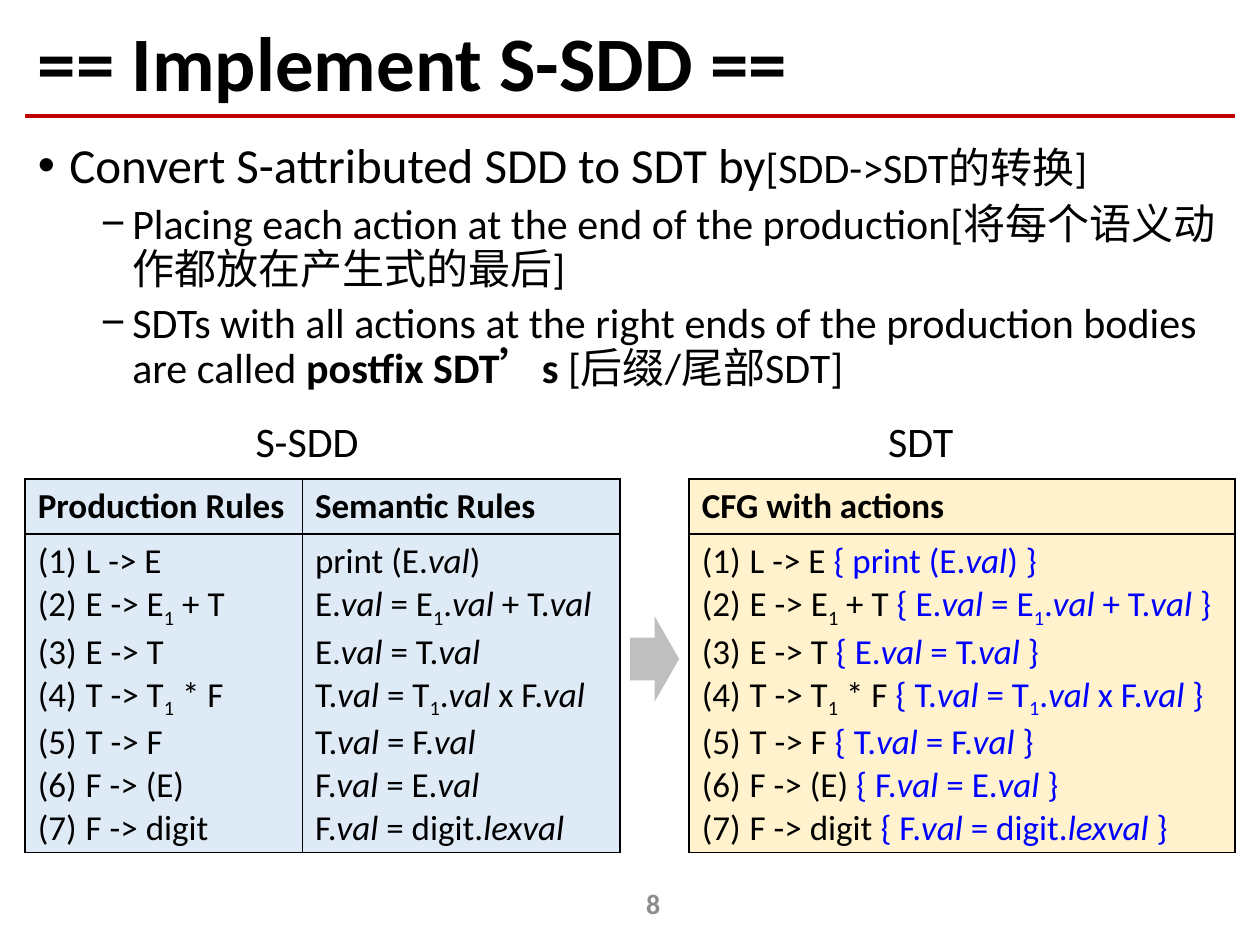
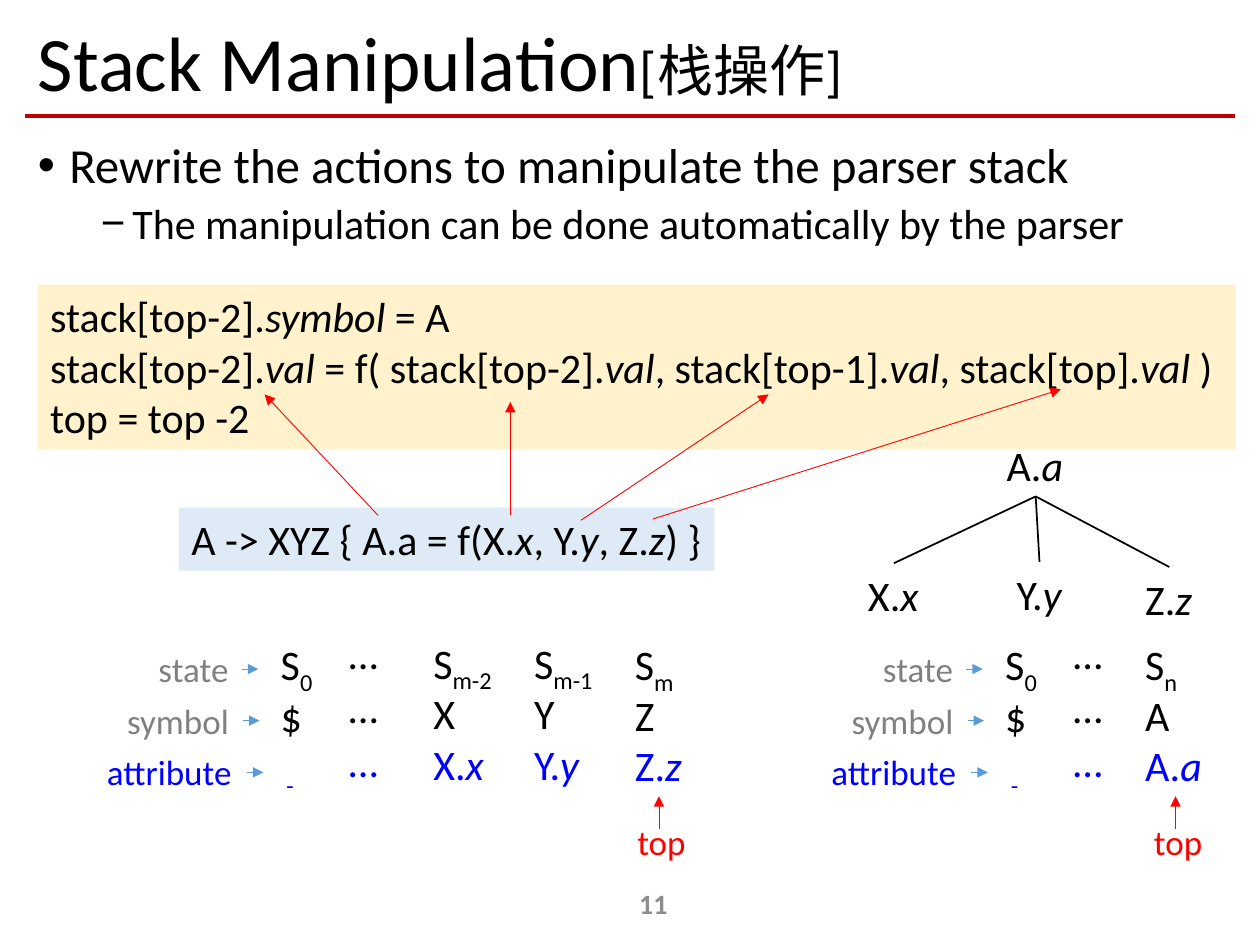
from lxml.etree import SubElement
from pptx import Presentation
from pptx.dml.color import RGBColor
from pptx.enum.shapes import MSO_CONNECTOR, MSO_SHAPE
from pptx.enum.text import MSO_ANCHOR, MSO_AUTO_SIZE, PP_ALIGN
from pptx.oxml.ns import qn
from pptx.util import Inches, Pt

FONT = "Calibri"
BLACK, GRAY, PAGE_GRAY, ARROW_GRAY = "000000", "808080", "8C8C8C", "BFBFBF"
BLUE, RED, DARK_RED, ARROW_BLUE = "0000FF", "FF0000", "C00000", "5B9BD5"
PALE_BLUE, PALE_YELLOW = "DEEBF7", "FFF2CC"
ITALIC, SUBSCRIPT, BOLD, ACCENT = "_", "~", "^", "|"
MARKS = {ITALIC, SUBSCRIPT, BOLD, ACCENT}


def rgb(color):
    return RGBColor.from_string(color)


def write(paragraph, markup, size, color=BLACK, bold=False,
          accent_color=None, accent_size=None):
    """Write text whose marks switch italic, subscript, bold or accent."""
    font = paragraph.font
    font.name, font.size, font.bold = FONT, Pt(size), bold
    font.color.rgb = rgb(color)
    for mark in MARKS:
        markup = markup.replace(mark, f"\n{mark}\n")
    active = set()
    for piece in filter(None, markup.split("\n")):
        if piece in MARKS:
            active ^= {piece}
            continue
        run = paragraph.add_run()
        run.text = piece
        if ITALIC in active:
            run.font.italic = True
        if BOLD in active:
            run.font.bold = True
        if SUBSCRIPT in active:
            run._r.get_or_add_rPr().set("baseline", "-25000")
        if ACCENT in active and accent_color:
            run.font.color.rgb = rgb(accent_color)
        if ACCENT in active and accent_size:
            run.font.size = Pt(accent_size)


def paragraphs_for(frame, lines):
    """Yield a paragraph of the frame with each line."""
    for index, line in enumerate(lines):
        yield (frame.add_paragraph() if index else frame.paragraphs[0]), line


def set_bullet(paragraph, indent, hanging, tag, **attributes):
    properties = paragraph._p.get_or_add_pPr()
    properties.set("marL", str(Inches(indent)))
    properties.set("indent", str(-Inches(hanging)))
    SubElement(properties, qn(tag), attributes)


def place(shape, left, top, width, height):
    shape.left, shape.top = Inches(left), Inches(top)
    shape.width, shape.height = Inches(width), Inches(height)


def add_label(slide, left, top, width, markup, size=24, color=BLACK, height=None):
    height = height or (0.5 if size == 24 else 0.44)
    label = slide.shapes.add_textbox(
        Inches(left), Inches(top), Inches(width), Inches(height))
    label.text_frame.word_wrap = False
    label.text_frame.auto_size = MSO_AUTO_SIZE.SHAPE_TO_FIT_TEXT
    write(label.text_frame.paragraphs[0], markup, size, color)
    return label


def add_line(slide, start, end, color, width, arrow=False):
    line = slide.shapes.add_connector(
        MSO_CONNECTOR.STRAIGHT, *(Inches(value) for value in (*start, *end)))
    line.line.color.rgb = rgb(color)
    line.line.width = Pt(width)
    if arrow:
        SubElement(line.line._get_or_add_ln(), qn("a:tailEnd"), type="triangle")
    SubElement(line._element.spPr, qn("a:effectLst"))
    return line


def add_filled_shape(slide, kind, left, top, width, height, color):
    shape = slide.shapes.add_shape(
        kind, Inches(left), Inches(top), Inches(width), Inches(height))
    shape.shadow.inherit = False
    shape.fill.solid()
    shape.fill.fore_color.rgb = rgb(color)
    shape.line.fill.background()
    return shape


def add_code_box(slide, left, top, width, height, color, lines):
    frame = add_filled_shape(
        slide, MSO_SHAPE.RECTANGLE, left, top, width, height, color).text_frame
    frame.word_wrap = False
    frame.auto_size = MSO_AUTO_SIZE.SHAPE_TO_FIT_TEXT
    frame.vertical_anchor = MSO_ANCHOR.TOP
    for paragraph, line in paragraphs_for(frame, lines):
        paragraph.alignment = PP_ALIGN.LEFT
        write(paragraph, line, 24)


def add_base_slide(presentation, title, bullets, body_height, page_number):
    """Add a slide with title, rule, list and page number; bullets are (level, text)."""
    slide = presentation.slides.add_slide(presentation.slide_layouts[1])
    add_line(slide, (0.2, 0.92), (9.8, 0.92), DARK_RED, 2.5)

    place(slide.shapes.title, 0.2, 0.13, 9.61, 0.79)
    frame = slide.shapes.title.text_frame
    frame.auto_size = MSO_AUTO_SIZE.NONE
    frame.vertical_anchor = MSO_ANCHOR.MIDDLE
    heading = frame.paragraphs[0]
    heading.alignment = PP_ALIGN.LEFT
    heading.line_spacing = 0.9
    write(heading, title, 44, accent_size=32)

    body = slide.placeholders[1]
    place(body, 0.2, 1.07, 9.61, body_height)
    body.text_frame.auto_size = MSO_AUTO_SIZE.NONE
    for paragraph, (level, text) in paragraphs_for(body.text_frame, bullets):
        paragraph.level = level
        paragraph.line_spacing = 0.9
        paragraph.space_before = Pt((10, 5)[level])
        set_bullet(paragraph, (0.25, 0.75)[level], 0.25, "a:buChar", char="•−"[level])
        write(paragraph, text, (28, 24)[level], accent_size=24)

    page = slide.shapes.add_textbox(
        Inches(4.06), Inches(6.97), Inches(2.25), Inches(0.4)).text_frame
    page.word_wrap = True
    page.vertical_anchor = MSO_ANCHOR.MIDDLE
    page.paragraphs[0].alignment = PP_ALIGN.CENTER
    write(page.paragraphs[0], str(page_number), 16, PAGE_GRAY, bold=True)
    return slide


def format_cell(cell, color):
    cell.fill.solid()
    cell.fill.fore_color.rgb = rgb(color)
    properties = cell._tc.get_or_add_tcPr()
    for index, side in enumerate(("lnL", "lnR", "lnT", "lnB")):
        border = SubElement(properties, qn(f"a:{side}"), w=str(Pt(1)))
        fill = SubElement(border, qn("a:solidFill"))
        SubElement(fill, qn("a:srgbClr"), val=BLACK)
        properties.insert(index, border)


def add_rule_table(slide, left, top, columns, color):
    """Add a two-row table from (width, heading, lines); the first column is numbered."""
    heights = (0.44, 2.43)
    total_width = sum(width for width, _, _ in columns)
    table = slide.shapes.add_table(
        2, len(columns), Inches(left), Inches(top),
        Inches(total_width), Inches(sum(heights))).table
    table.first_row = table.horz_banding = False
    for row, height in zip(table.rows, heights):
        row.height = Inches(height)
    for index, (width, heading, lines) in enumerate(columns):
        table.columns[index].width = Inches(width)
        header, content = table.cell(0, index), table.cell(1, index)
        format_cell(header, color)
        format_cell(content, color)
        write(header.text_frame.paragraphs[0], heading, 20, bold=True)
        for paragraph, line in paragraphs_for(content.text_frame, lines):
            if index == 0:
                set_bullet(paragraph, 0.38, 0.38, "a:buAutoNum", type="arabicParenBoth")
            write(paragraph, line, 20, accent_color=BLUE)


def add_tree(slide, left, top):
    root = add_label(slide, left + 1.1, top, 0.66, "A._a_")
    leaves = ((0, 1.03, 0.61, "X._x_"), (1.18, 1.02, 0.56, "Y._y_"),
              (2.2, 1.06, 0.58, "Z._z_"))
    for across, down, width, text in leaves:
        leaf = add_label(slide, left + across, top + down, width, text)
        branch = add_line(slide, (left, top), (left, top), BLACK, 1)
        branch.begin_connect(leaf, 0)
        branch.end_connect(root, 2)


def add_stack(slide, left, top, symbol_columns, top_marker):
    """Draw a parser stack; columns are (left, top, row step, cells of text and width)."""
    row_labels = ((0.41, 0.76, "state", GRAY), (0.16, 1.02, "symbol", GRAY),
                  (0, 1.21, "attribute", BLUE))
    for row, (across, width, text, color) in enumerate(row_labels):
        label_top = top + 0.16 + 0.41 * row
        right, middle = left + across + width, label_top + 0.22
        add_label(slide, left + across, label_top, width, text, 20, color)
        add_line(slide, (right, middle), (right + 0.13, middle), ARROW_BLUE, 0.5, True)

    base_columns = [
        (1.38, 0.09, 0.41, [("S~0~", 0.47), ("$", 0.37), ("~ -~", 0.32)]),
        (1.92, 0, 0.43, [("…", 0.44)] * 3),
    ]
    for across, down, step, cells in base_columns + symbol_columns:
        for row, (text, width) in enumerate(cells):
            add_label(slide, left + across, top + down + step * row, width, text,
                      color=BLUE if row == 2 else BLACK,
                      height=0.37 if text == "~ -~" else 0.5)

    marker = left + top_marker
    add_line(slide, (marker + 0.27, top + 1.65), (marker + 0.27, top + 1.39),
             RED, 0.5, True)
    add_label(slide, marker, top + 1.53, 0.59, "top", 20, RED)


def add_implementation_slide(presentation):
    slide = add_base_slide(presentation, "^== Implement S-SDD ==^", [
        (0, "Convert S-attributed SDD to SDT by|[SDD->SDT的转换]|"),
        (1, "Placing each action at the end of the production"
            "[将每个语义动作都放在产生式的最后]"),
        (1, "SDTs with all actions at the right ends of the production bodies "
            "are called ^postfix SDT’s ^[后缀/尾部SDT]"),
    ], 5.68, 8)
    productions = ["L -> E", "E -> E~1~ + T", "E -> T", "T -> T~1~ * F",
                   "T -> F", "F -> (E)", "F -> digit"]
    rules = ["print (E._val_)", "E._val_ = E~1~._val_ + T._val_", "E._val_ = T._val_",
             "T._val_ = T~1~._val_ x F._val_", "T._val_ = F._val_",
             "F._val_ = E._val_", "F._val_ = digit._lexval_"]
    actions = [f"{production} |{{ {rule} }}|"
               for production, rule in zip(productions, rules)]
    add_rule_table(slide, 0.2, 3.8, [(2.2, "Production Rules", productions),
                                     (2.52, "Semantic Rules", rules)], PALE_BLUE)
    add_label(slide, 1.93, 3.25, 1.05, "S-SDD")
    add_rule_table(slide, 5.47, 3.8, [(4.33, "CFG with actions", actions)], PALE_YELLOW)
    add_label(slide, 6.95, 3.25, 0.72, "SDT")
    add_filled_shape(slide, MSO_SHAPE.RIGHT_ARROW, 5, 4.89, 0.39, 0.68, ARROW_GRAY)


def add_stack_slide(presentation):
    slide = add_base_slide(presentation, "Stack Manipulation|[栈操作]|", [
        (0, "Rewrite the actions to manipulate the parser stack"),
        (1, "The manipulation can be done automatically by the parser"),
    ], 1.12, 11)
    add_stack(slide, 0.75, 4.93, [
        (2.59, 0.08, 0.4, [("S~m-2~", 0.72), ("X", 0.38), ("X._x_", 0.61)]),
        (3.39, 0.08, 0.4, [("S~m-1~", 0.72), ("Y", 0.37), ("Y._y_", 0.56)]),
        (4.19, 0.09, 0.4, [("S~m~", 0.54), ("Z", 0.36), ("Z._z_", 0.58)]),
    ], 4.21)
    add_code_box(slide, 1.42, 4.03, 4.25, 0.5, PALE_BLUE,
                 ["A -> XYZ { A.a = f(X._x_, Y._y_, Z._z_) }"])
    add_code_box(slide, 0.3, 2.26, 9.51, 1.31, PALE_YELLOW, [
        "stack[top-2]._symbol_ = A",
        "stack[top-2]._val_ = f( stack[top-2]._val_, stack[top-1]._val_, "
        "stack[top]._val_ )",
        "top = top -2",
    ])
    add_tree(slide, 6.79, 3.44)
    value_arrows = (((3, 4.09), (2.1, 3.13)), ((4.05, 4.09), (4.05, 3.19)),
                    ((4.61, 4.13), (6.1, 3.13)), ((5.18, 4.12), (8.42, 3.09)))
    for start, end in value_arrows:
        add_line(slide, start, end, RED, 0.5, True)
    add_stack(slide, 6.5, 4.93, [
        (2.49, 0.09, 0.4, [("S~n~", 0.47), ("A", 0.4), ("A._a_", 0.66)]),
    ], 2.56)


def main():
    presentation = Presentation()
    presentation.slide_width, presentation.slide_height = Inches(10), Inches(7.5)
    add_implementation_slide(presentation)
    add_stack_slide(presentation)
    presentation.save("out.pptx")


if __name__ == "__main__":
    main()
